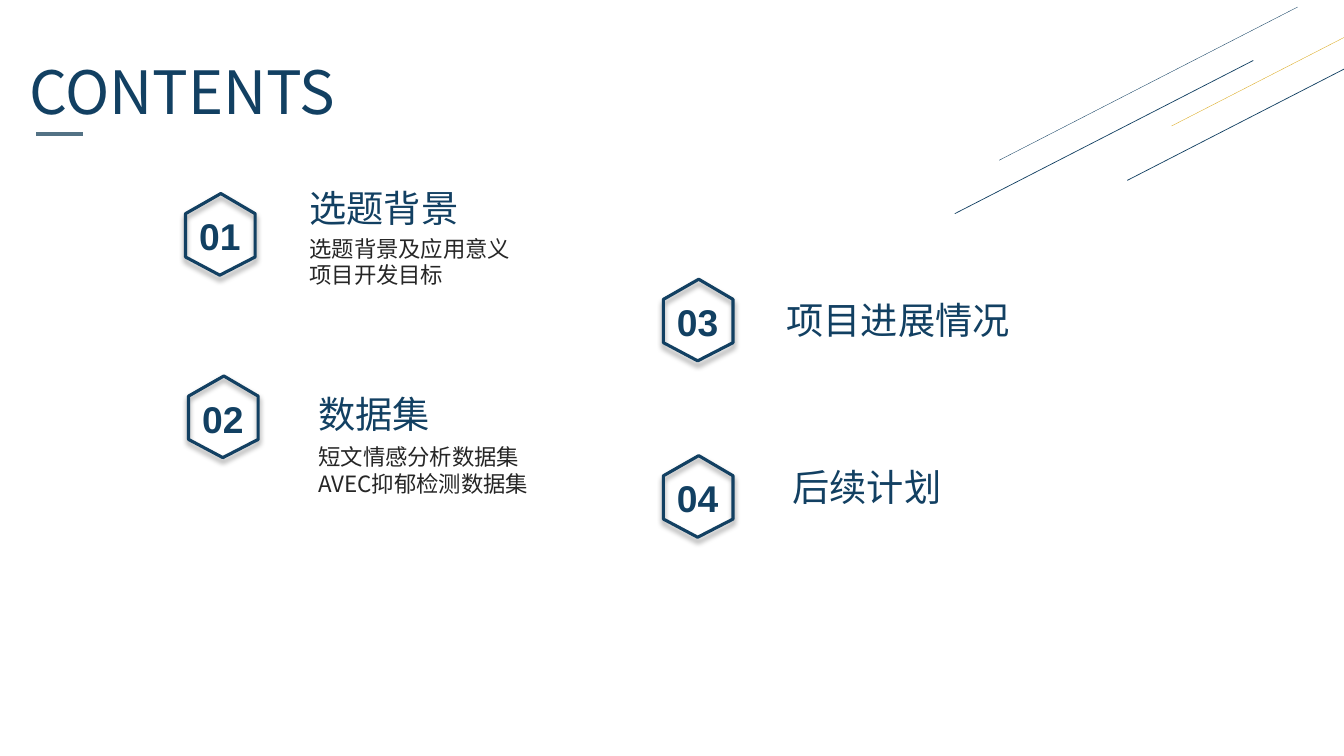
import pptx
import pptx.util
import pptx.dml.color
import pptx.enum.text
import pptx.enum.shapes
import pptx.oxml
import pptx.oxml.ns
import lxml.etree

Inches = pptx.util.Inches
Pt = pptx.util.Pt
RGBColor = pptx.dml.color.RGBColor
qn = pptx.oxml.ns.qn

NAVY = RGBColor(0x12, 0x40, 0x62)
SLATE = RGBColor(0x53, 0x72, 0x85)
GOLD = RGBColor(0xDC, 0xAA, 0x1F)
CHARCOAL = RGBColor(0x26, 0x26, 0x26)
CJK = "Noto Sans CJK SC"
SHADOW = (
    f"<a:effectLst {pptx.oxml.ns.nsdecls('a')}>"
    '<a:outerShdw blurRad="50800" dist="38100" dir="5400000" algn="t" rotWithShape="0">'
    '<a:srgbClr val="000000"><a:alpha val="40000"/></a:srgbClr>'
    "</a:outerShdw></a:effectLst>"
)


def write_text(frame, lines, size, color, font=CJK, bold=False, align=pptx.enum.text.PP_ALIGN.LEFT, wrap=True):
    frame.word_wrap = wrap
    frame.vertical_anchor = pptx.enum.text.MSO_ANCHOR.TOP
    frame.text = "\n".join(lines)
    for paragraph in frame.paragraphs:
        paragraph.alignment = align
        paragraph.font.size = Pt(size)
        paragraph.font.bold = bold
        paragraph.font.color.rgb = color
        paragraph.font.name = font
        east_asian = lxml.etree.SubElement(paragraph.font._element, qn("a:ea"))
        east_asian.set("typeface", font)


def draw_line(x1, y1, x2, y2, color, width):
    stroke = slide.shapes.add_connector(
        pptx.enum.shapes.MSO_CONNECTOR.STRAIGHT, Inches(x1), Inches(y1), Inches(x2), Inches(y2))
    stroke.line.color.rgb = color
    stroke.line.width = Pt(width)
    lxml.etree.SubElement(stroke._element.spPr, qn("a:effectLst"))


deck = pptx.Presentation()
deck.slide_width = Inches(13.33)
deck.slide_height = Inches(7.5)
slide = deck.slides.add_slide(deck.slide_layouts[5])

heading = slide.shapes.title
heading.left, heading.top, heading.width, heading.height = map(Inches, (0.19, 0.49, 3.66, 0.82))
write_text(heading.text_frame, ["CONTENTS"], 42.6, NAVY)
heading.text_frame.auto_size = pptx.enum.text.MSO_AUTO_SIZE.NONE
draw_line(0.36, 1.33, 0.82, 1.33, SLATE, 2.25)

for x, y, color, width in [
    (9.47, 2.12, NAVY, 0.5),
    (9.91, 1.59, NAVY, 0.25),
    (11.18, 1.79, NAVY, 0.5),
    (11.62, 1.25, GOLD, 0.25),
]:
    draw_line(x, y, x + 2.96, y - 1.52, color, width)

HEXAGON = [(0.35, 0), (0.69, 0.2), (0.69, 0.63), (0.34, 0.81), (0, 0.63), (0, 0.2)]
badges = [("01", 1.84, 1.92), ("02", 1.87, 3.73), ("03", 6.58, 2.77), ("04", 6.58, 4.52)]
for number, x, y in badges:
    badge = slide.shapes.add_group_shape()
    corners = [(Inches(x + dx), Inches(y + dy)) for dx, dy in HEXAGON]
    outline = badge.shapes.build_freeform(*corners[0])
    outline.add_line_segments(corners[1:], close=True)
    hexagon = outline.convert_to_shape()
    hexagon.fill.background()
    hexagon.line.color.rgb = NAVY
    hexagon.line.width = Pt(2.25)
    hexagon._element.spPr.append(pptx.oxml.parse_xml(SHADOW))
    label = badge.shapes.add_textbox(Inches(x + 0.03), Inches(y + 0.15), Inches(0.62), Inches(0.55))
    write_text(label.text_frame, [number], 26.6, NAVY, "Arial", True,
               pptx.enum.text.PP_ALIGN.CENTER, False)

topics = [
    ("选题背景", 2.97, 1.79, 2.61),
    ("数据集", 3.06, 3.83, 2.35),
    ("项目进展情况", 7.7, 2.9, 3.25),
    ("后续计划", 7.76, 4.56, 2.61),
]
for topic, x, y, width in topics:
    topic_box = slide.shapes.add_textbox(Inches(x), Inches(y), Inches(width), Inches(0.55))
    write_text(topic_box.text_frame, [topic], 26.6, NAVY)

details = [
    (["选题背景及应用意义", "项目开发目标"], 2.97, 2.28, 2.22),
    (["短文情感分析数据集", "AVEC抑郁检测数据集"], 3.06, 4.35, 2.34),
]
for lines, x, y, width in details:
    detail_box = slide.shapes.add_textbox(Inches(x), Inches(y), Inches(width), Inches(0.64))
    write_text(detail_box.text_frame, lines, 16, CHARCOAL, wrap=False)

deck.save("out.pptx")
